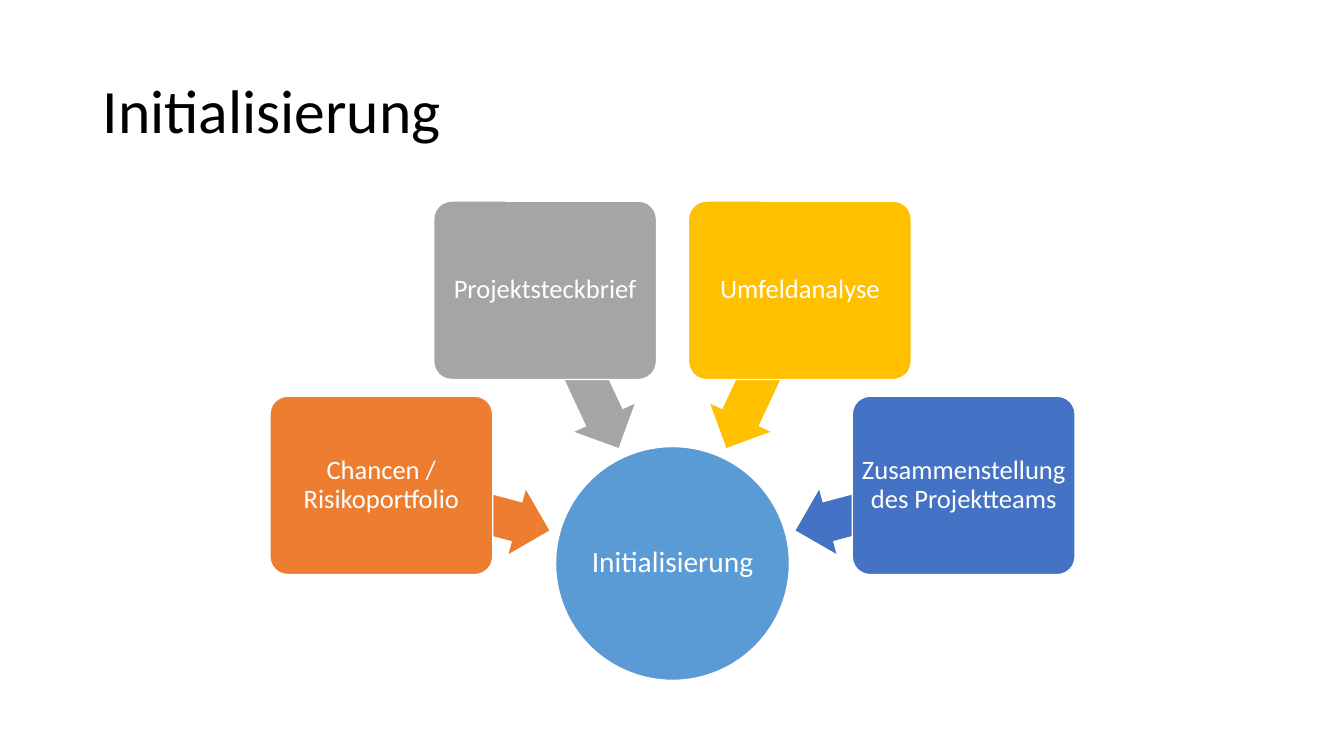
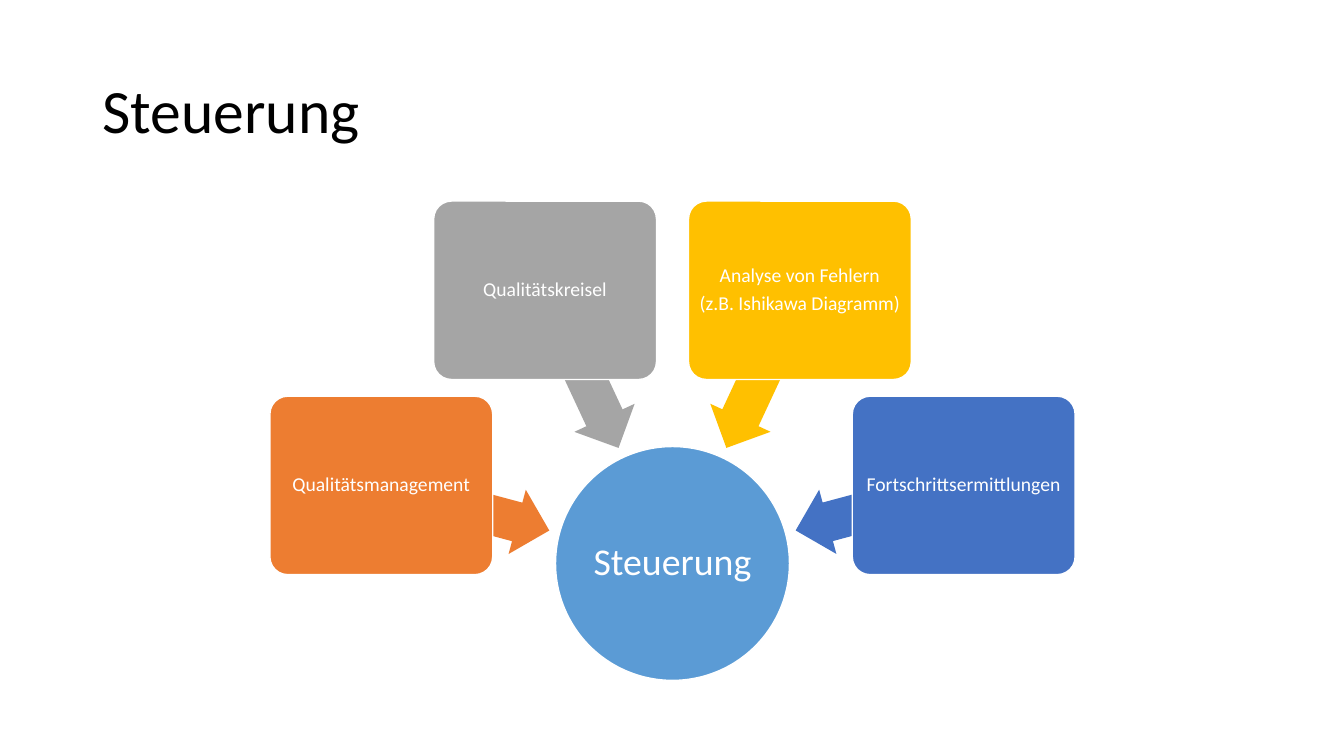
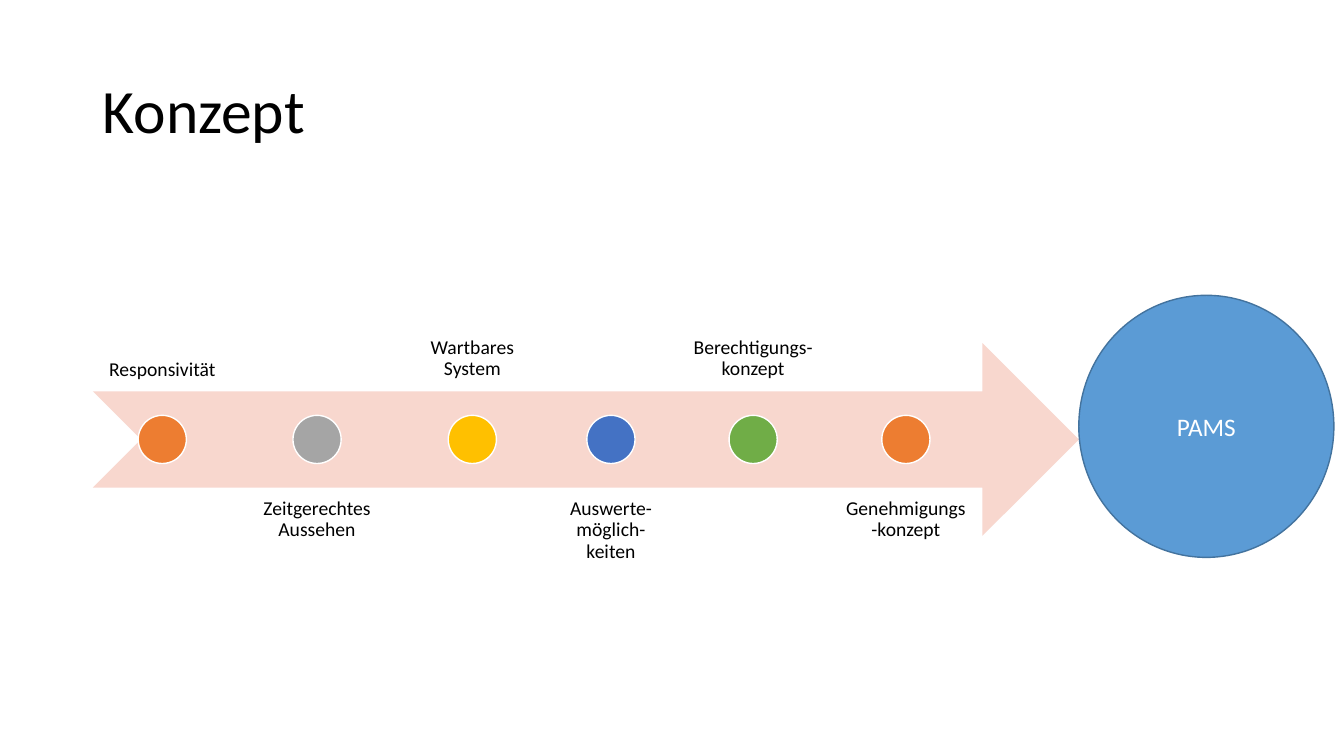
from collections import namedtuple
from math import cos, radians, sin

from pptx import Presentation
from pptx.dml.color import RGBColor
from pptx.enum.shapes import MSO_SHAPE as Preset
from pptx.enum.text import MSO_ANCHOR as Anchor, PP_ALIGN as Align
from pptx.util import Inches, Pt

COLORS = {
    "black": "000000", "white": "FFFFFF", "blue": "5B9BD5", "blue_edge": "43739E",
    "orange": "ED7D31", "gray": "A5A5A5", "yellow": "FFC000", "navy": "4472C4",
    "green": "70AD47", "track": "F8D7CE",
}
FONT = "Calibri"

Box = namedtuple("Box", "left top width height")
TITLE_BOX = Box(0.92, 0.4, 11.5, 1.45)
WHEEL_BOX = Box(2.67, 2, 8, 4.75)
TIMELINE_BOX = Box(0.92, 1.97, 9.78, 4.78)
GOAL_BOX = Box(10.7, 2.93, 2.53, 2.6)


def color(name):
    """Return the named colour."""
    return RGBColor.from_string(COLORS[name])


def centered(x, y, width, height):
    """Return a box around a centre point."""
    return Box(x - width / 2, y - height / 2, width, height)


def write_text(shape, text, size=14, font_color="white", align=Align.CENTER,
               anchor=Anchor.MIDDLE, insets=(0.1, 0.05), spacing=0.9):
    """Fill a shape with one paragraph per line of text."""
    frame = shape.text_frame
    frame.word_wrap = True
    frame.vertical_anchor = anchor
    frame.margin_left = frame.margin_right = Inches(insets[0])
    frame.margin_top = frame.margin_bottom = Inches(insets[1])
    for index, line in enumerate(text.split("\n")):
        paragraph = frame.add_paragraph() if index else frame.paragraphs[0]
        paragraph.alignment = align
        paragraph.line_spacing = spacing
        if index:
            paragraph.space_before = Pt(0.35 * size)
        run = paragraph.add_run()
        run.text = line
        run.font.name = FONT
        run.font.size = Pt(size)
        run.font.color.rgb = color(font_color)


def add_text(slide, box, text, **text_format):
    """Add a text box."""
    shape = slide.shapes.add_textbox(*map(Inches, box))
    write_text(shape, text, **text_format)


def add_figure(slide, preset, box, fill, line="white", adjustments=(), rotation=0):
    """Add a flat preset shape and return it."""
    shape = slide.shapes.add_shape(preset, *map(Inches, box))
    shape.shadow.inherit = False
    shape.rotation = rotation
    for index, value in enumerate(adjustments):
        shape.adjustments[index] = value
    shape.fill.solid()
    shape.fill.fore_color.rgb = color(fill)
    if line:
        shape.line.color.rgb = color(line)
        shape.line.width = Pt(1)
    else:
        shape.line.fill.background()
    return shape


def add_titled_slide(presentation, title):
    """Add a blank slide with the shared title style."""
    slide = presentation.slides.add_slide(presentation.slide_layouts[6])
    add_text(slide, TITLE_BOX, title, size=44, font_color="black", align=Align.LEFT)
    return slide


def add_wheel(slide, box, hub_text, hub_size, topics, topic_size, inset):
    """Place topics on an arc, each with an arrow to the hub at the bottom."""
    hub_diameter, arrow_radius, topic_radius = 2.32, 2.13, 2.99
    hub_x = box.left + box.width / 2
    hub_y = box.top + box.height - hub_diameter / 2
    hub = add_figure(slide, Preset.OVAL,
                     centered(hub_x, hub_y, hub_diameter, hub_diameter), "blue")
    write_text(hub, hub_text, size=hub_size, insets=(0.01, 0.01))

    fills = ("orange", "gray", "yellow", "navy")
    for index, (topic, fill) in enumerate(zip(topics, fills)):
        angle = 195 + 50 * index
        across, down = cos(radians(angle)), sin(radians(angle))
        arrow_box = centered(hub_x + arrow_radius * across,
                             hub_y + arrow_radius * down, 1.73, 0.66)
        add_figure(slide, Preset.LEFT_ARROW, arrow_box, fill, line=None,
                   adjustments=(0.6, 0.5), rotation=angle)
        topic_box = centered(hub_x + topic_radius * across,
                             hub_y + topic_radius * down, 2.21, 1.77)
        card = add_figure(slide, Preset.ROUNDED_RECTANGLE, topic_box, fill,
                          adjustments=(0.1,))
        write_text(card, topic, size=topic_size, insets=(inset, inset))


def add_timeline(slide, box, milestones):
    """Draw a broad arrow with dots, labelled above and below in turn."""
    label_height, dot_size, gap = 0.4 * box.height, 0.1 * box.height, 0.06
    middle = box.top + box.height / 2
    track_box = Box(box.left, middle - label_height / 2, box.width, label_height)
    add_figure(slide, Preset.NOTCHED_RIGHT_ARROW, track_box, "track", line=None)

    left = box.left
    for index, (label, width, fill) in enumerate(milestones):
        below = index % 2 == 1
        top = box.top + (0.6 * box.height if below else 0)
        add_text(slide, Box(left, top, width, label_height), label,
                 font_color="black", insets=(0.11, 0.11),
                 anchor=Anchor.TOP if below else Anchor.BOTTOM)
        add_figure(slide, Preset.OVAL,
                   centered(left + width / 2, middle, dot_size, dot_size), fill)
        left += width + gap


def add_goal(slide, box, text):
    """Draw the circle that the timeline leads to."""
    goal = add_figure(slide, Preset.OVAL, box, "blue", line="blue_edge")
    write_text(goal, text, size=18, spacing=1.0)


def main():
    """Build and save the presentation."""
    presentation = Presentation()
    presentation.slide_width = Inches(13.33)
    presentation.slide_height = Inches(7.5)

    wheels = [
        ("Initialisierung", 21, 19, 0.04,
         ("Chancen / Risikoportfolio", "Projektsteckbrief", "Umfeldanalyse",
          "Zusammenstellung des Projektteams")),
        ("Steuerung", 27, 14, 0.03,
         ("Qualitätsmanagement", "Qualitätskreisel",
          "Analyse von Fehlern\n(z.B. Ishikawa Diagramm)",
          "Fortschrittsermittlungen")),
    ]
    for title, hub_size, topic_size, inset, topics in wheels:
        slide = add_titled_slide(presentation, title)
        add_wheel(slide, WHEEL_BOX, title, hub_size, topics, topic_size, inset)

    slide = add_titled_slide(presentation, "Konzept")
    add_timeline(slide, TIMELINE_BOX, [
        ("Responsivität", 1.38, "orange"),
        ("Zeitgerechtes Aussehen", 1.57, "gray"),
        ("Wartbares System", 1.39, "yellow"),
        ("Auswerte-möglich-keiten", 1.24, "navy"),
        ("Berechtigungs-konzept", 1.46, "green"),
        ("Genehmigungs-konzept", 1.45, "orange"),
    ])
    add_goal(slide, GOAL_BOX, "PAMS")

    presentation.save("out.pptx")


main()
